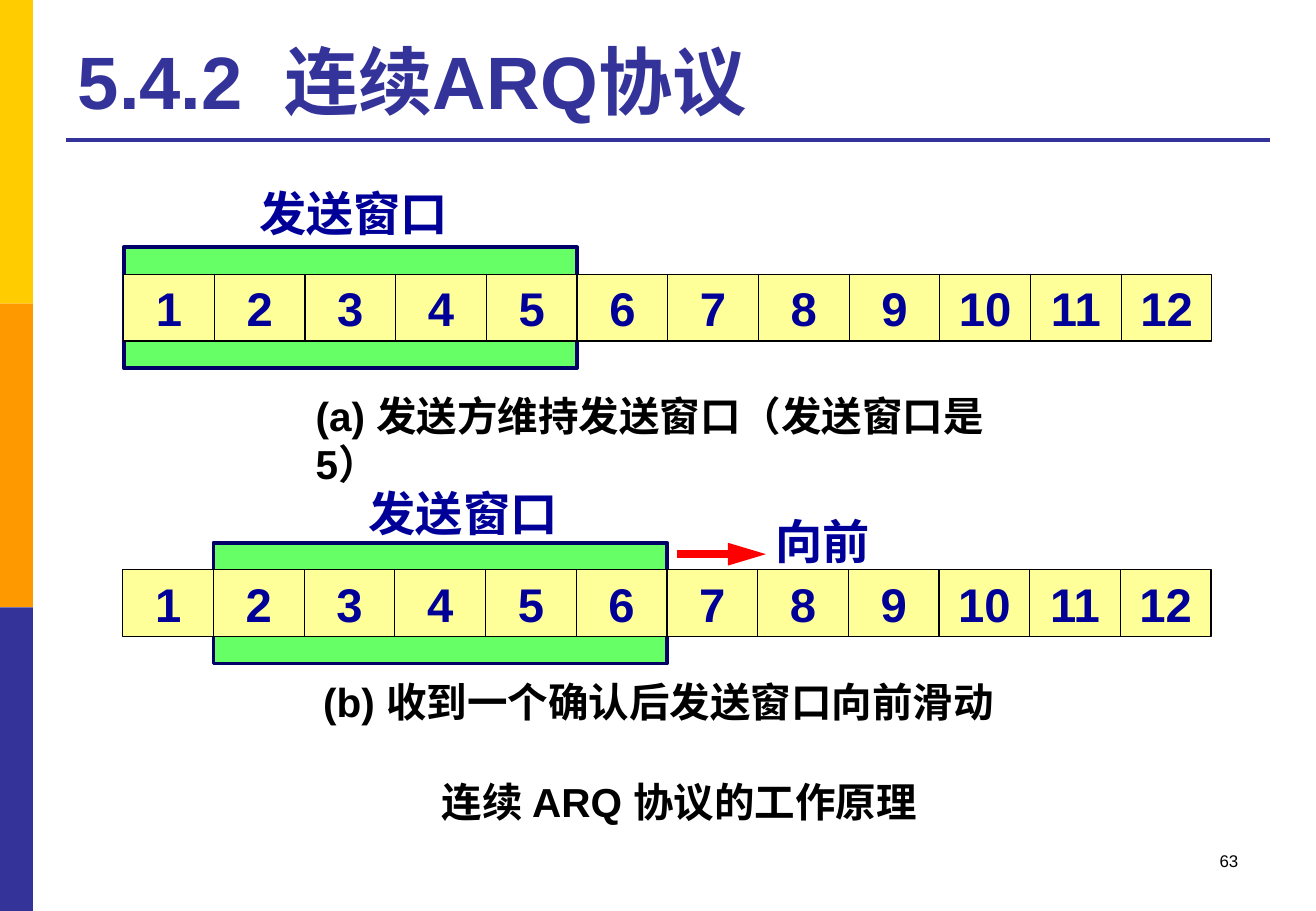
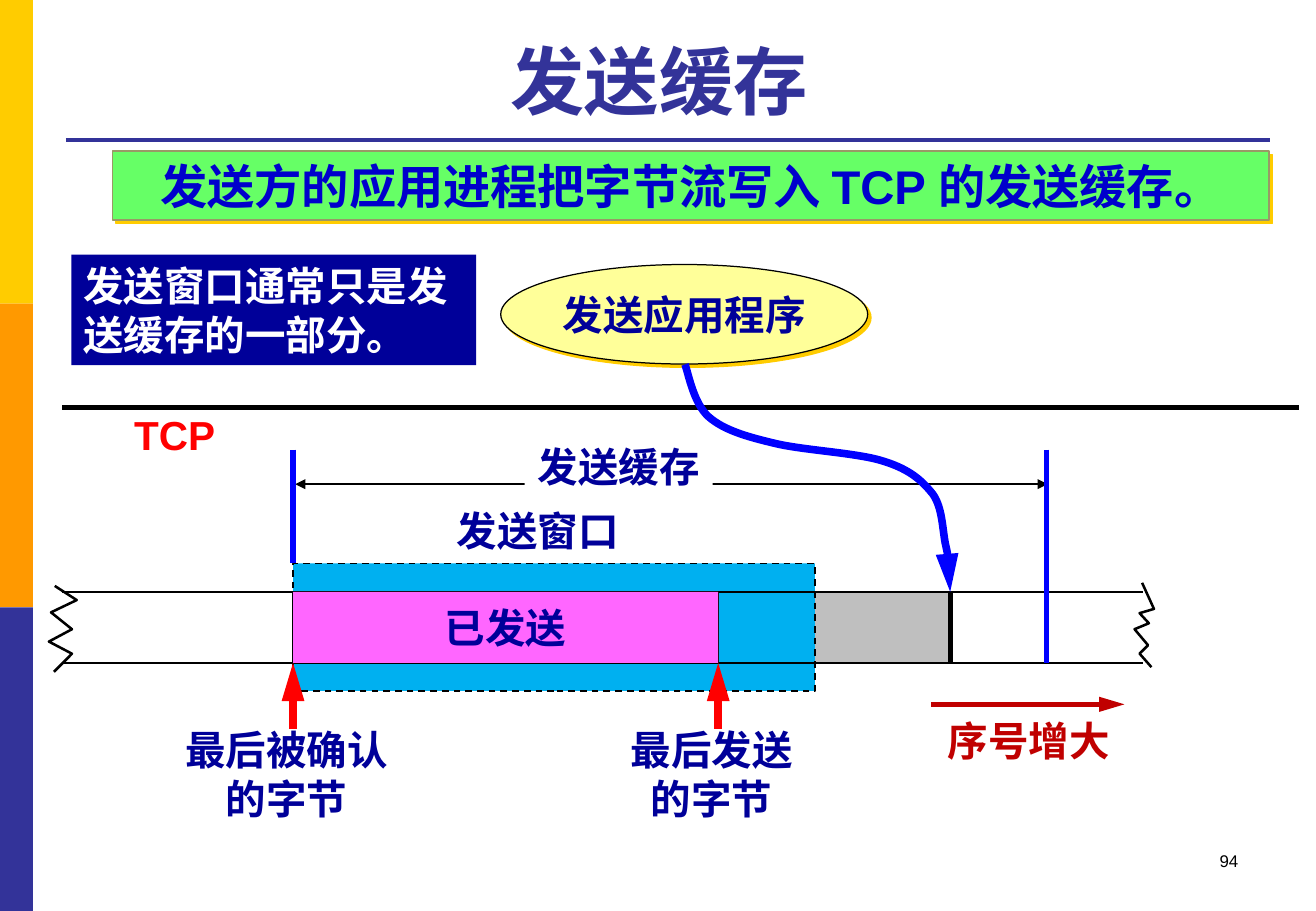
from lxml import etree
from pptx import Presentation
from pptx.dml.color import RGBColor
from pptx.enum.dml import MSO_LINE
from pptx.enum.shapes import MSO_CONNECTOR, MSO_SHAPE
from pptx.enum.text import MSO_ANCHOR, PP_ALIGN
from pptx.oxml.ns import qn
from pptx.util import Pt

FONT = "Arial"
BLACK = RGBColor(0x00, 0x00, 0x00)
WHITE = RGBColor(0xFF, 0xFF, 0xFF)
GOLD = RGBColor(0xFF, 0xCC, 0x00)
ORANGE = RGBColor(0xFF, 0x99, 0x00)
INDIGO = RGBColor(0x33, 0x33, 0x99)
NAVY = RGBColor(0x00, 0x00, 0x99)
DARK_NAVY = RGBColor(0x00, 0x00, 0x66)
BLUE = RGBColor(0x00, 0x00, 0xFF)
BANNER_BLUE = RGBColor(0x00, 0x00, 0xCC)
SKY = RGBColor(0x00, 0xB0, 0xF0)
GREEN = RGBColor(0x66, 0xFF, 0x66)
OLIVE = RGBColor(0x99, 0x99, 0x66)
YELLOW = RGBColor(0xFF, 0xFF, 0x99)
PINK = RGBColor(0xFF, 0x66, 0xFF)
GREY = RGBColor(0xBF, 0xBF, 0xBF)
RED = RGBColor(0xFF, 0x00, 0x00)
DARK_RED = RGBColor(0xC0, 0x00, 0x00)

SLIDE_W, SLIDE_H = 780, 540
CELL_W, CELL_H, CELL_COUNT = 53.75, 39.6, 12
WINDOW_CELLS, WINDOW_MARGIN = 5, 16


def put_text(sp, text, size, color, bold=True, align=PP_ALIGN.CENTER,
             anchor=MSO_ANCHOR.MIDDLE, wrap=False):
    tf = sp.text_frame
    tf.text = text
    tf.word_wrap = wrap
    tf.vertical_anchor = anchor
    for p in tf.paragraphs:
        p.alignment = align
        for r in p.runs:
            r.font.name = FONT
            r.font.size = Pt(size)
            r.font.bold = bold
            r.font.color.rgb = color


def add_label(s, box, text, size=24, color=NAVY, anchor=MSO_ANCHOR.TOP, **style):
    sp = s.shapes.add_textbox(*map(Pt, box))
    put_text(sp, text, size, color, anchor=anchor, **style)


def add_block(s, box, fill, line=None, width=0.75, kind=MSO_SHAPE.RECTANGLE):
    sp = s.shapes.add_shape(kind, *map(Pt, box))
    sp.shadow.inherit = False
    sp.fill.solid()
    sp.fill.fore_color.rgb = fill
    if line is None:
        sp.line.fill.background()
    else:
        sp.line.color.rgb = line
        sp.line.width = Pt(width)
    return sp


def add_gold_shadow(sp):
    effects = sp._element.spPr.find(qn("a:effectLst"))
    shadow = etree.SubElement(effects, qn("a:outerShdw"), dist=str(Pt(2.8)),
                              dir="2700000", algn="ctr", rotWithShape="0")
    etree.SubElement(shadow, qn("a:srgbClr"), val=str(GOLD))


def style_line(sp, color, width, ends=(), head="lg"):
    """Colour a line and put arrowheads on the given ends (headEnd, tailEnd)."""
    sp.line.color.rgb = color
    sp.line.width = Pt(width)
    ln = sp._element.spPr.find(qn("a:ln"))
    for end in ends:
        etree.SubElement(ln, qn("a:" + end), type="triangle", w="med", len=head)


def add_line(s, x1, y1, x2, y2, color=BLACK, width=0.75, ends=(), head="lg"):
    sp = s.shapes.add_connector(MSO_CONNECTOR.STRAIGHT, *map(Pt, (x1, y1, x2, y2)))
    style_line(sp, color, width, ends, head)
    etree.SubElement(sp._element.spPr, qn("a:effectLst"))


def add_outline(s, points, color, width, ends=()):
    """Draw an open, unfilled path through the points."""
    start, *rest = [(Pt(x), Pt(y)) for x, y in points]
    builder = s.shapes.build_freeform(*start)
    builder.add_line_segments(rest, close=False)
    sp = builder.convert_to_shape()
    sp.shadow.inherit = False
    sp.fill.background()
    style_line(sp, color, width, ends)
    return sp


def add_curve(s, points, color, width, ends=()):
    """Draw cubic Béziers: a start, then two controls and an end for each."""
    sp = add_outline(s, points, color, width, ends)
    segments = list(sp._element.iter(qn("a:lnTo")))
    for i in range(0, len(segments), 3):
        bezier = etree.Element(qn("a:cubicBezTo"))
        segments[i].addprevious(bezier)
        for segment in segments[i:i + 3]:
            bezier.append(segment[0])
            segment.getparent().remove(segment)


def add_base_slide(prs, title, number, align):
    s = prs.slides.add_slide(prs.slide_layouts[6])
    band_h = SLIDE_H / 3
    for i, color in enumerate((GOLD, ORANGE, INDIGO)):
        add_block(s, (0, i * band_h, 19.5, band_h), color)
    add_line(s, 39, 82.8, 753, 82.8, INDIGO, 2.25)
    add_label(s, (39, 14.5, 713.5, 63), title, 44, INDIGO, MSO_ANCHOR.BOTTOM,
              align=align, wrap=True)
    add_label(s, (559, 500.5, 182, 36), number, 10, BLACK, bold=False,
              align=PP_ALIGN.RIGHT, wrap=True)
    return s


def add_window_row(s, left, top, first):
    """Draw the numbered cells over a send window that starts at cell first."""
    add_block(s, (left + (first - 1) * CELL_W, top - WINDOW_MARGIN,
                  WINDOW_CELLS * CELL_W, CELL_H + 2 * WINDOW_MARGIN),
              GREEN, DARK_NAVY, 2.25)
    add_block(s, (left, top, CELL_COUNT * CELL_W, CELL_H), YELLOW, BLACK)
    for i in range(CELL_COUNT):
        x = left + i * CELL_W
        add_label(s, (x, top, CELL_W, CELL_H), str(i + 1), 28, anchor=MSO_ANCHOR.MIDDLE)
        if i:
            add_line(s, x, top, x, top + CELL_H)


def build_arq_slide(prs):
    s = add_base_slide(prs, "5.4.2  连续ARQ协议", "63", PP_ALIGN.LEFT)
    add_window_row(s, 73.3, 162.6, first=1)
    add_label(s, (145.5, 106, 128, 41), "发送窗口", 28)
    add_label(s, (180, 228, 430, 36), "(a) 发送方维持发送窗口（发送窗口是 5）",
              color=BLACK, align=PP_ALIGN.LEFT, wrap=True)

    add_window_row(s, 72.8, 337.7, first=2)
    add_label(s, (210.5, 283.5, 128, 41), "发送窗口", 28)
    add_line(s, 401, 328.5, 454, 328.5, RED, 4.5, ["tailEnd"])
    add_label(s, (452, 300, 71, 41), "向前", 28)
    add_label(s, (181.5, 398, 417.5, 36), "(b) 收到一个确认后发送窗口向前滑动", color=BLACK)
    add_label(s, (195.7, 457, 414, 36), "连续 ARQ 协议的工作原理", color=BLACK, wrap=True)


def build_buffer_slide(prs):
    s = add_base_slide(prs, "发送缓存 ", "94", PP_ALIGN.CENTER)
    acked, sent, window_end, written, buffer_end = 173.7, 425.7, 483, 563.2, 620.5
    top, bottom = 350.8, 393
    height = bottom - top
    window_top = 334

    add_line(s, 175, 287, 621, 287, width=1.5, ends=["headEnd", "tailEnd"], head="med")
    add_block(s, (sent, top, written - sent, height), GREY)
    app = add_block(s, (296.8, 156.8, 217.5, 59), YELLOW, BLACK, kind=MSO_SHAPE.OVAL)
    add_gold_shadow(app)
    put_text(app, "发送应用程序", 24, NAVY)
    add_line(s, 37, 241.5, 770, 241.5, width=3)

    window = add_block(s, (acked, window_top, window_end - acked, 75.5), SKY, BLACK, 1)
    window.line.dash_style = MSO_LINE.DASH
    for y in (top, bottom):
        add_line(s, 37, y, 677.5, y, width=1.5)
    for x, width in ((acked, 0.75), (sent, 0.75), (written, 3)):
        add_line(s, x, top, x, bottom, width=width)
    buffer_name = add_block(s, (311, 258.5, 111.5, 36), WHITE)
    put_text(buffer_name, "发送缓存", 24, NAVY)
    add_label(s, (263, 296.5, 111.5, 36), "发送窗口")
    sent_block = add_block(s, (acked, top, sent - acked, height), PINK)
    put_text(sent_block, "已发送", 24, NAVY)

    for x in (acked, sent):
        add_line(s, x, 432, x, bottom, RED, 4.5, ["tailEnd"])
    add_label(s, (102, 426.3, 135.5, 65.5), "最后被确认\n的字节")
    add_label(s, (366, 426.3, 111.5, 65.5), "最后发送\n的字节")
    for x, y in ((acked, window_top), (buffer_end, bottom)):
        add_line(s, x, 266.5, x, y, BLUE, 3)

    add_curve(s, [(406, 216),
                  (408, 221), (411, 239), (420, 247),
                  (429, 255), (443, 259), (460, 263),
                  (477, 267), (509, 268.5), (524, 273.5),
                  (540, 278.5), (547, 285.5), (553, 293),
                  (558.5, 301), (558.5, 312.5), (560.3, 322),
                  (562.5, 332), (562.5, 345), (written, top)],
              BLUE, 4.5, ["tailEnd"])
    add_label(s, (72, 239.5, 63, 36), "TCP", color=RED)
    torn_right = [(677, 345.5), (684, 361), (675.5, 363.5), (681, 369.5),
                  (672.5, 373), (680.5, 382.5), (675.5, 387.5), (682.5, 395.5)]
    torn_left = [(32.5, 347.3), (45.5, 355.7), (30.3, 363), (42.7, 373),
                 (29, 380.3), (42.7, 387.5), (32, 398.3)]
    for edge in (torn_right, torn_left):
        add_outline(s, edge, BLACK, 1.5)

    add_line(s, 551.8, 417.5, 666.5, 417.5, DARK_RED, 3, ["tailEnd"])
    add_label(s, (554, 420.8, 111.5, 36), "序号增大", color=DARK_RED)

    banner = add_block(s, (66.7, 89.5, 685.5, 41), GREEN, OLIVE)
    add_gold_shadow(banner)
    put_text(banner, "发送方的应用进程把字节流写入 TCP 的发送缓存。", 28, BANNER_BLUE, wrap=True)
    note = add_block(s, (42.3, 151, 240, 65.5), NAVY)
    put_text(note, "发送窗口通常只是发送缓存的一部分。", 24, WHITE, align=PP_ALIGN.LEFT, wrap=True)


def main():
    prs = Presentation()
    prs.slide_width, prs.slide_height = Pt(SLIDE_W), Pt(SLIDE_H)
    build_arq_slide(prs)
    build_buffer_slide(prs)
    prs.save("out.pptx")


if __name__ == "__main__":
    main()
